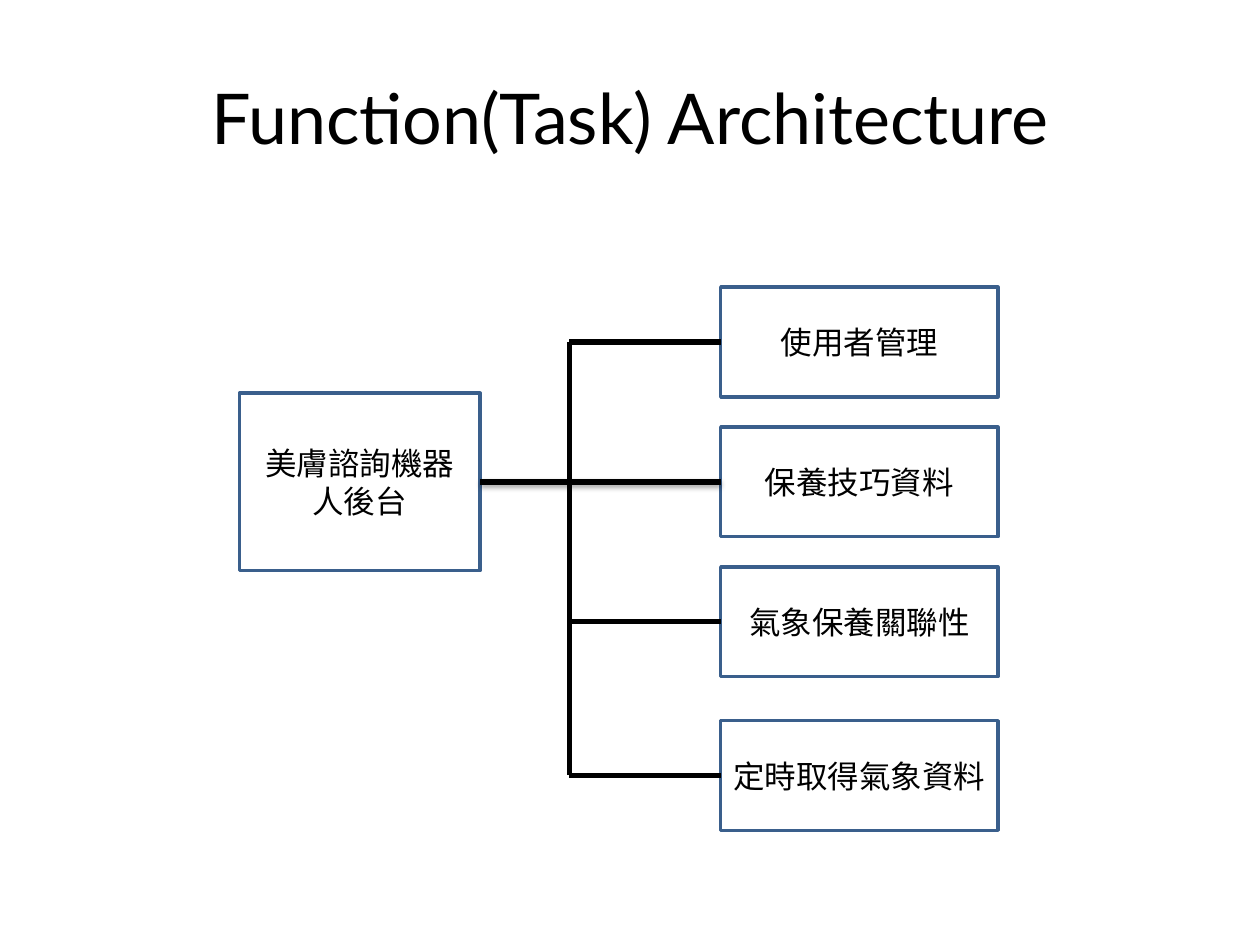
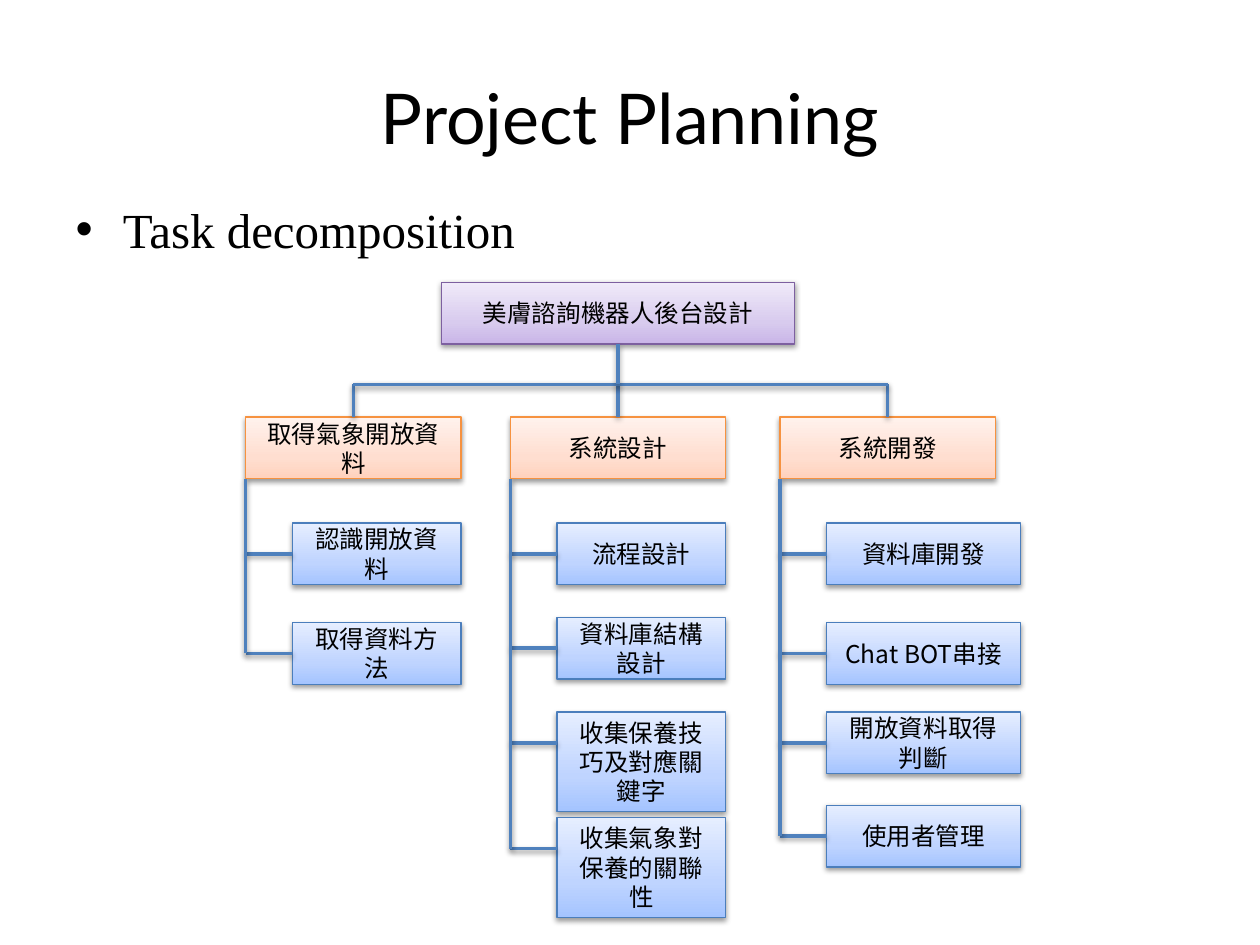
from dataclasses import dataclass

from lxml import etree
from pptx import Presentation
from pptx.dml.color import RGBColor
from pptx.enum import shapes, text
from pptx.oxml.ns import qn
from pptx.util import Inches, Pt

# ---- Content ----
ARCHITECTURE_TITLE = "Function(Task) Architecture"
BACKEND = "美膚諮詢機器人後台"
FUNCTIONS = ["使用者管理", "保養技巧資料", "氣象保養關聯性", "定時取得氣象資料"]

PLANNING_TITLE = "Project Planning"
PLANNING_POINT = "Task decomposition"
PROJECT = "美膚諮詢機器人後台設計"
# Each phase: heading, left edge, task width, tasks as (wording, top, height)
PHASES = [
    ("取得氣象開放資料", 1.95, 1.34, [
        ("認識開放資料", 4.15, 0.49),
        ("取得資料方法", 4.94, 0.49),
    ]),
    ("系統設計", 4.05, 1.34, [
        ("流程設計", 4.15, 0.49),
        ("資料庫結構設計", 4.9, 0.49),
        ("收集保養技巧及對應關鍵字", 5.65, 0.79),
        ("收集氣象對保養的關聯性", 6.49, 0.79),
    ]),
    ("系統開發", 6.19, 1.54, [
        ("資料庫開發", 4.15, 0.49),
        ("Chat BOT串接", 4.94, 0.49),
        ("開放資料取得判斷", 5.65, 0.49),
        ("使用者管理", 6.39, 0.49),
    ]),
]


# ---- Theme ----
@dataclass(frozen=True)
class BoxStyle:
    line: str
    line_width: float
    size: int
    gradient: tuple = ()
    shadow: bool = False


@dataclass(frozen=True)
class LineStyle:
    color: str
    width: float
    shadow: bool = False


class Theme:
    ink = "000000"
    title_font, body_font, box_font = "Lato", "Times New Roman", "Noto Sans CJK SC"
    title_size, body_size = 40, 28
    gradient_positions = (0, 35, 100)
    function_box = BoxStyle("3A5F8C", 2, 18)
    project_box = BoxStyle("7D60A0", 0.75, 14, ("C9B5E8", "D8CBEE", "F0EAF9"), True)
    phase_box = BoxStyle("F69240", 0.75, 14, ("FFD2BD", "FFDED0", "FFF2ED"), True)
    task_box = BoxStyle("4B7EBC", 0.75, 14, ("A4C4FF", "BFD4FF", "E6EEFF"), True)
    branch = LineStyle("000000", 3)
    trunk = LineStyle("000000", 3, True)
    tree = LineStyle("4F81BD", 2, True)


# ---- Helpers ----
def add_run(paragraph, wording, font, size):
    run = paragraph.add_run()
    run.text = wording
    run.font.name = font
    run.font.size = Pt(size)
    run.font.color.rgb = RGBColor.from_string(Theme.ink)
    etree.SubElement(run.font._element, qn("a:ea"), typeface=font)


def add_color(parent, color):
    return etree.SubElement(parent, qn("a:srgbClr"), val=color)


def set_shadow(item, visible):
    """Give a shape or connector the soft lower shadow, or none at all."""
    properties = item.element.spPr
    effects = properties.find(qn("a:effectLst"))
    if effects is None:
        effects = etree.SubElement(properties, qn("a:effectLst"))
    if visible:
        shadow = etree.SubElement(
            effects, qn("a:outerShdw"), blurRad=str(Pt(3.1)), dist=str(Pt(1.6)),
            dir="5400000", rotWithShape="0")
        etree.SubElement(add_color(shadow, Theme.ink), qn("a:alpha"), val="38000")


def set_gradient(shape, colors):
    shape.fill.gradient()
    shape.fill.gradient_angle = 90
    stops = shape.element.spPr.find(".//" + qn("a:gsLst"))
    for stop in list(stops):
        stops.remove(stop)
    for position, color in zip(Theme.gradient_positions, colors):
        add_color(etree.SubElement(stops, qn("a:gs"), pos=str(position * 1000)), color)


def add_box(slide, wording, left, top, width, height, style):
    box = slide.shapes.add_shape(
        shapes.MSO_SHAPE.RECTANGLE, *map(Inches, (left, top, width, height)))
    if style.gradient:
        set_gradient(box, style.gradient)
    else:
        box.fill.background()
    box.line.color.rgb = RGBColor.from_string(style.line)
    box.line.width = Pt(style.line_width)
    box.shadow.inherit = False
    set_shadow(box, style.shadow)
    box.text_frame.vertical_anchor = text.MSO_ANCHOR.MIDDLE
    paragraph = box.text_frame.paragraphs[0]
    paragraph.alignment = text.PP_ALIGN.CENTER
    add_run(paragraph, wording, Theme.box_font, style.size)
    return box


def add_line(slide, start, end, style, begin=None, finish=None):
    """Draw a line; begin and finish are optional (box, side) joints."""
    line = slide.shapes.add_connector(
        shapes.MSO_CONNECTOR.STRAIGHT, *map(Inches, (*start, *end)))
    line.line.color.rgb = RGBColor.from_string(style.color)
    line.line.width = Pt(style.width)
    set_shadow(line, style.shadow)
    if begin:
        line.begin_connect(*begin)
    if finish:
        line.end_connect(*finish)


def add_slide(presentation, layout_name, title):
    slide = presentation.slides.add_slide(
        presentation.slide_layouts.get_by_name(layout_name))
    place(slide.shapes.title, 0.5, 0.3, 9, 1.25)
    slide.shapes.title.text_frame.vertical_anchor = text.MSO_ANCHOR.MIDDLE
    paragraph = slide.shapes.title.text_frame.paragraphs[0]
    paragraph.alignment = text.PP_ALIGN.CENTER
    add_run(paragraph, title, Theme.title_font, Theme.title_size)
    return slide


def place(shape, left, top, width, height):
    shape.left, shape.top = Inches(left), Inches(top)
    shape.width, shape.height = Inches(width), Inches(height)


# ---- Slides ----
def build_architecture(presentation):
    slide = add_slide(presentation, "Title Only", ARCHITECTURE_TITLE)
    left, width, height = 5.72, 2.2, 0.87
    tops = [2.28 + 1.11 * row for row in range(3)] + [5.72]
    middles = [top + height / 2 for top in tops]
    spine = 4.52

    backend = add_box(slide, BACKEND, 1.9, 3.12, 1.91, 1.41, Theme.function_box)
    boxes = [add_box(slide, wording, left, top, width, height, Theme.function_box)
             for wording, top in zip(FUNCTIONS, tops)]

    add_line(slide, (spine, middles[0]), (spine, middles[-1]), Theme.branch)
    for row, (box, middle) in enumerate(zip(boxes, middles)):
        if row == 1:
            add_line(slide, (left, middle), (3.81, middle), Theme.trunk,
                     (box, 1), (backend, 3))
        else:
            add_line(slide, (spine, middle), (left, middle), Theme.branch,
                     finish=(box, 1))


def build_phase(slide, phase, head_top, head_width, row_height, bus):
    heading, left, task_width, tasks = phase
    indent = 0.37
    task_left = left + indent
    center = left + head_width / 2
    head = add_box(slide, heading, left, head_top, head_width, row_height,
                   Theme.phase_box)
    add_line(slide, (center, head_top), (center, bus), Theme.tree, begin=(head, 0))

    for wording, top, height in tasks:
        box = add_box(slide, wording, task_left, top, task_width, height, Theme.task_box)
        arm = top + row_height / 2
        joint = (box, 1) if height == row_height else None
        add_line(slide, (task_left, arm), (left, arm), Theme.tree, begin=joint)
    add_line(slide, (left, arm), (left, head_top + row_height), Theme.tree)
    return center


def build_planning(presentation):
    slide = add_slide(presentation, "Title and Content", PLANNING_TITLE)
    body = slide.placeholders[1]
    place(body, 0.5, 1.53, 9, 5.75)
    add_run(body.text_frame.paragraphs[0], PLANNING_POINT,
            Theme.body_font, Theme.body_size)

    row_height, bus, project_top, project_width = 0.49, 3.05, 2.24, 2.8
    centers = [build_phase(slide, phase, 3.31, 1.71, row_height, bus)
               for phase in PHASES]
    middle = centers[1]
    project = add_box(slide, PROJECT, middle - project_width / 2, project_top,
                      project_width, row_height, Theme.project_box)
    add_line(slide, (centers[0], bus), (centers[-1], bus), Theme.tree)
    add_line(slide, (middle, bus), (middle, project_top + row_height), Theme.tree,
             finish=(project, 2))


def main():
    presentation = Presentation()
    presentation.slide_width, presentation.slide_height = Inches(10), Inches(7.5)
    build_architecture(presentation)
    build_planning(presentation)
    presentation.save("out.pptx")


if __name__ == "__main__":
    main()
